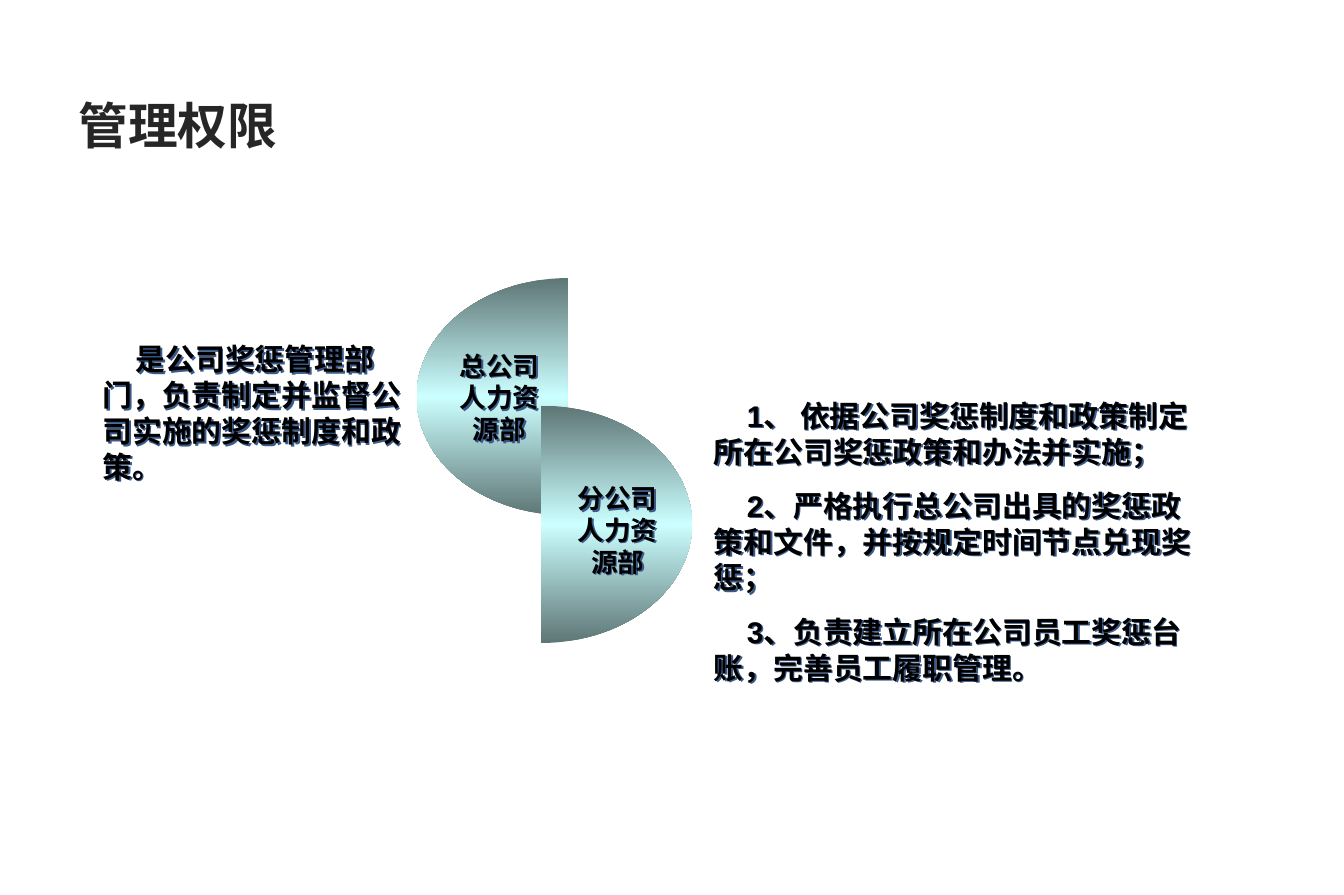
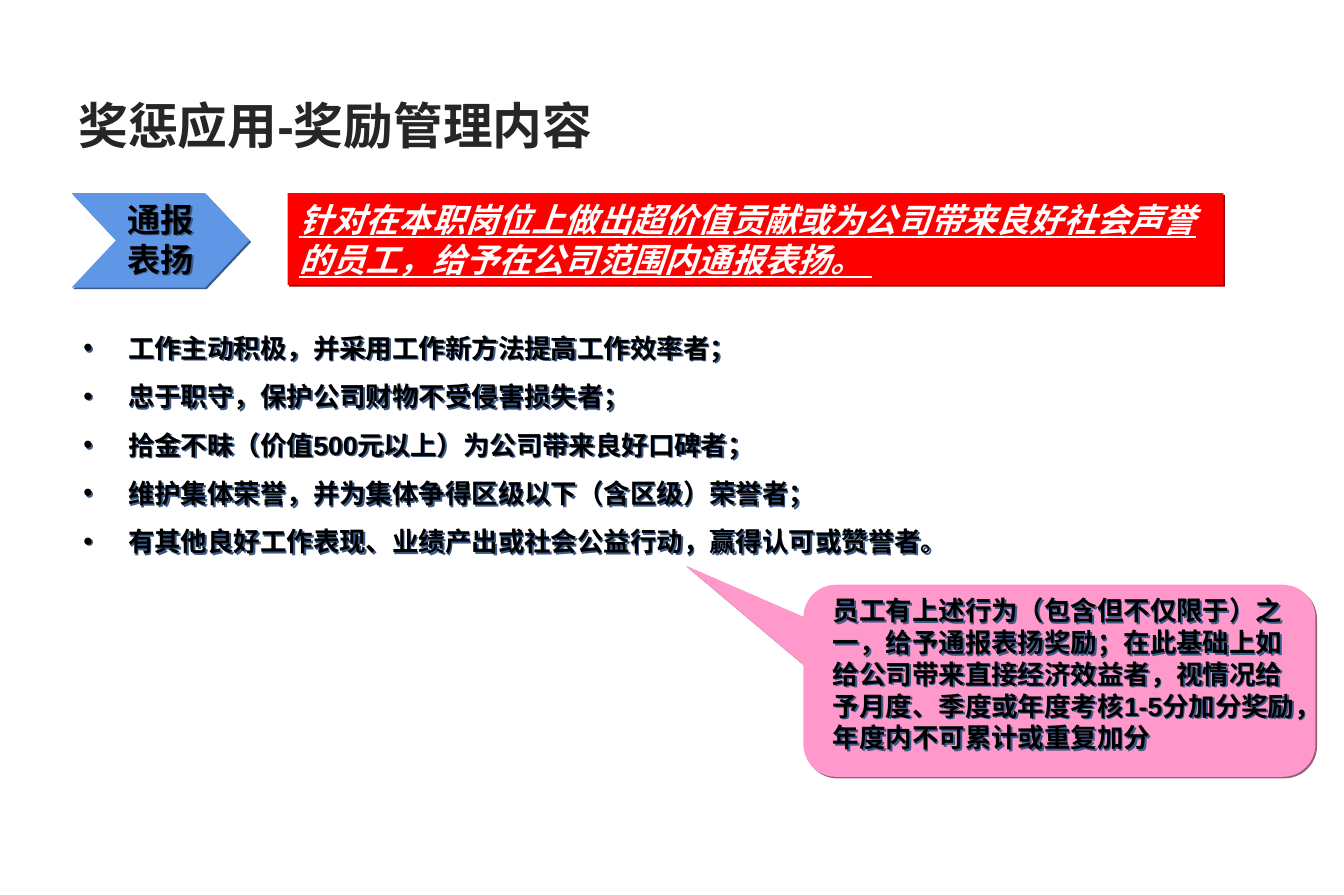
from math import cos, pi, sin

from lxml import etree
from pptx import Presentation
from pptx.dml.color import RGBColor
from pptx.enum.shapes import MSO_SHAPE
from pptx.enum.text import MSO_ANCHOR, PP_ALIGN
from pptx.oxml.ns import qn
from pptx.util import Pt

RECTANGLE = MSO_SHAPE.RECTANGLE
CHEVRON = MSO_SHAPE.CHEVRON
CALLOUT = MSO_SHAPE.ROUNDED_RECTANGULAR_CALLOUT
MIDDLE, TOP = MSO_ANCHOR.MIDDLE, MSO_ANCHOR.TOP
CENTER, LEFT = PP_ALIGN.CENTER, PP_ALIGN.LEFT

BLACK = RGBColor(0x00, 0x00, 0x00)
WHITE = RGBColor(0xFF, 0xFF, 0xFF)
TITLE_GRAY = RGBColor(0x26, 0x26, 0x26)
TEAL = RGBColor(0x5E, 0x76, 0x76)
AQUA = RGBColor(0xCC, 0xFF, 0xFF)
RED = RGBColor(0xFF, 0x00, 0x00)
DARK_RED = RGBColor(0x99, 0x00, 0x00)
PINK = RGBColor(0xFF, 0x99, 0xCC)
DARK_PINK = RGBColor(0x99, 0x5C, 0x7A)
BLUE = RGBColor(0x60, 0x96, 0xE6)
DARK_BLUE = RGBColor(0x3A, 0x5A, 0x8A)

FONT = "Arial"
TITLE_BOX = (40.3, 47.5, 729.4, 55.4)
TITLE = {"size": Pt(30), "color": TITLE_GRAY}
BODY = {"size": Pt(18), "color": BLACK}
SMALL = {"size": Pt(16), "color": BLACK}
TAG = {"size": Pt(20), "color": BLACK}
BANNER = {"size": Pt(20), "color": WHITE, "italic": True, "underline": True}


def add_color(parent, color):
    etree.SubElement(parent, qn("a:srgbClr"), val=str(color))


def add_shadow(shape, color):
    """Hard shadow, down and to the right; on a text box it falls on the text."""
    shape.shadow.inherit = False
    effects = shape._element.spPr.find(qn("a:effectLst"))
    shadow = etree.SubElement(effects, qn("a:outerShdw"), dist=str(Pt(1.4)),
                              dir="2700000", algn="ctr", rotWithShape="0")
    add_color(shadow, color)


def add_bullet(para):
    props = para._p.get_or_add_pPr()
    props.set("marL", str(Pt(27)))
    props.set("indent", str(-Pt(27)))
    add_color(etree.SubElement(props, qn("a:buClr")), BLACK)
    etree.SubElement(props, qn("a:buFont"), typeface=FONT)
    etree.SubElement(props, qn("a:buChar"), char="•")


def write(shape, lines, style, align=LEFT, anchor=TOP, gap=0, indent=0,
          bullets=False):
    frame = shape.text_frame
    frame.word_wrap = True
    frame.vertical_anchor = anchor
    for index, line in enumerate(lines):
        para = frame.paragraphs[0] if index == 0 else frame.add_paragraph()
        para.alignment = align
        if index:
            para.space_before = Pt(gap)
        if indent:
            para._p.get_or_add_pPr().set("indent", str(Pt(indent)))
        if bullets:
            add_bullet(para)
        span = para.add_run()
        span.text = line
        for name, value in {"name": FONT, "bold": True, **style}.items():
            if name == "color":
                span.font.color.rgb = value
            else:
                setattr(span.font, name, value)


def add_text(page, box, lines, style, shadow=DARK_BLUE, **layout):
    shape = page.shapes.add_textbox(*map(Pt, box))
    if shadow is not None:
        add_shadow(shape, shadow)
    write(shape, lines, style, **layout)


def add_block(page, kind, box, fill, shadow, adjustments=()):
    shape = page.shapes.add_shape(kind, *map(Pt, box))
    for index, value in enumerate(adjustments):
        shape.adjustments[index] = value
    shape.fill.solid()
    shape.fill.fore_color.rgb = fill
    shape.line.fill.background()
    add_shadow(shape, shadow)
    return shape


def add_half_disc(page, box, side, label, label_offset):
    """Half ellipse bulging left (side -1) or right (side 1), with its label."""
    left, top, width, height = box
    flat = left + width if side < 0 else left
    steps = 60
    angles = [pi * step / steps for step in range(steps + 1)]
    outline = [(Pt(flat + side * width * sin(angle)),
                Pt(top + height / 2 * (1 - cos(angle)))) for angle in angles]
    builder = page.shapes.build_freeform(*outline[0])
    builder.add_line_segments(outline[1:], close=True)
    disc = builder.convert_to_shape()
    disc.shadow.inherit = False
    disc.line.fill.background()

    # Vertical gradient, light in the middle
    disc.fill.gradient()
    disc.fill.gradient_angle = 90
    stops = disc._element.spPr.find(".//" + qn("a:gsLst"))
    for stop in list(stops):
        stops.remove(stop)
    for position, color in ((0, TEAL), (50000, AQUA), (100000, TEAL)):
        add_color(etree.SubElement(stops, qn("a:gs"), pos=str(position)), color)

    dx, dy = label_offset
    add_text(page, (left + dx, top + dy, 77, 65), [label], SMALL, align=CENTER)


def add_page(deck, title):
    page = deck.slides.add_slide(deck.slide_layouts[6])
    add_text(page, TITLE_BOX, [title], TITLE, shadow=None, anchor=MIDDLE)
    return page


def add_tag(page, box, label):
    left, top, width, height = box
    add_block(page, CHEVRON, box, BLUE, DARK_BLUE, [0.47])
    add_text(page, (left + 18, top, width - 36, height), [label], TAG,
             align=CENTER)


def add_note(page, box, text):
    left, top, width, height = box
    add_block(page, CALLOUT, box, PINK, DARK_PINK, [-0.73, -0.6, 0.17])
    add_text(page, (left + 10.8, top + 2.2, width - 10.8, height - 12), [text],
             SMALL)


def build_authority(deck):
    page = add_page(deck, "管理权限")

    # Two departments
    add_half_disc(page, (251.3, 167.8, 91.2, 143.2), -1, "总公司人力资源部",
                  (11.5, 39.6))
    add_half_disc(page, (326.3, 244.8, 91.2, 143.2), 1, "分公司人力资源部",
                  (7.8, 42.5))

    # Their duties
    add_text(page, (54.7, 202.3, 195.8, 93.6),
             ["是公司奖惩管理部门，负责制定并监督公司实施的奖惩制度和政策。"],
             BODY, indent=20)
    add_text(page, (423.4, 236.2, 308.9, 181.4),
             ["1、 依据公司奖惩制度和政策制定所在公司奖惩政策和办法并实施；",
              "2、严格执行总公司出具的奖惩政策和文件，并按规定时间节点兑现奖惩；",
              "3、负责建立所在公司员工奖惩台账，完善员工履职管理。"],
             BODY, gap=11.2, indent=20)


def build_rewards(deck):
    page = add_page(deck, "奖惩应用-奖励管理内容")

    # Reward and its definition
    banner = add_block(page, RECTANGLE, (173.5, 116.6, 564.5, 55.4), RED,
                       DARK_RED)
    write(banner, ["针对在本职岗位上做出超价值贡献或为公司带来良好社会声誉"
                   "的员工，给予在公司范围内通报表扬。 "], BANNER)
    add_tag(page, (43.2, 116.6, 107.3, 56.9), "通报表扬")

    # Qualifying conduct
    add_text(page, (43.2, 196.6, 707, 143.3),
             ["工作主动积极，并采用工作新方法提高工作效率者；",
              "忠于职守，保护公司财物不受侵害损失者；",
              "拾金不昧（价值500元以上）为公司带来良好口碑者；",
              "维护集体荣誉，并为集体争得区级以下（含区级）荣誉者；",
              "有其他良好工作表现、业绩产出或社会公益行动，赢得认可或赞誉者。"],
             SMALL, gap=10, bullets=True)

    # How the reward is granted
    add_note(page, (484.6, 352.8, 308.9, 115.9),
             "员工有上述行为（包含但不仅限于）之一，给予通报表扬奖励；"
             "在此基础上如给公司带来直接经济效益者，视情况给予月度、"
             "季度或年度考核1-5分加分奖励，年度内不可累计或重复加分")


def main():
    deck = Presentation()
    deck.slide_width, deck.slide_height = Pt(810.72), Pt(540)
    build_authority(deck)
    build_rewards(deck)
    deck.save("out.pptx")


if __name__ == "__main__":
    main()
